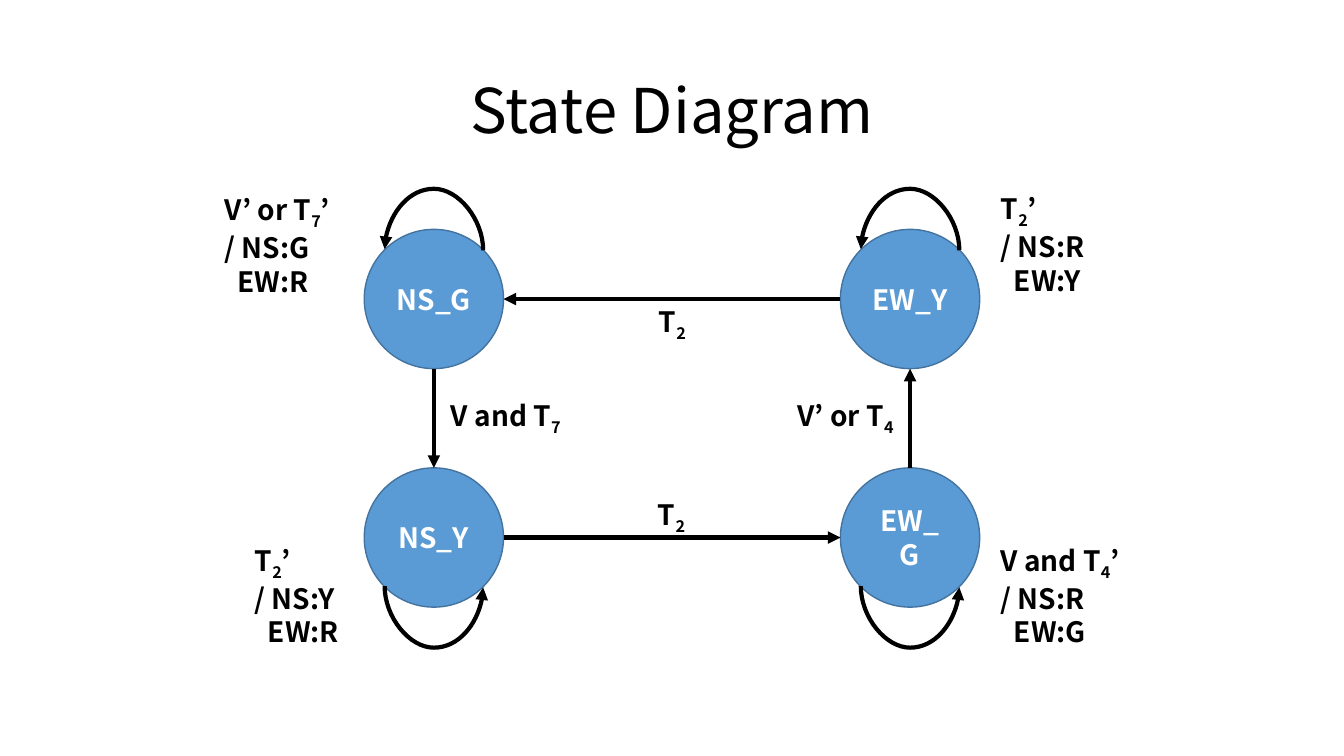
from dataclasses import dataclass
from math import sqrt

from lxml import etree
from pptx import Presentation
from pptx.dml.color import RGBColor
from pptx.enum.shapes import MSO_CONNECTOR, MSO_SHAPE
from pptx.enum.text import MSO_ANCHOR, MSO_AUTO_SIZE, PP_ALIGN
from pptx.oxml.ns import qn
from pptx.shapes.autoshape import Shape
from pptx.shapes.connector import Connector
from pptx.text.text import _Paragraph as Paragraph
from pptx.util import Cm, Pt

FONT = "Noto Sans CJK KR"
BLACK = RGBColor(0x00, 0x00, 0x00)
WHITE = RGBColor(0xFF, 0xFF, 0xFF)
STATE_FILL = RGBColor(0x5B, 0x9B, 0xD5)
STATE_EDGE = RGBColor(0x43, 0x73, 0x9E)

OVAL = MSO_SHAPE.OVAL
STRAIGHT, CURVE = MSO_CONNECTOR.STRAIGHT, MSO_CONNECTOR.CURVE
LEFT, CENTER = PP_ALIGN.LEFT, PP_ALIGN.CENTER
MIDDLE = MSO_ANCHOR.MIDDLE
FIT_SHAPE = MSO_AUTO_SIZE.SHAPE_TO_FIT_TEXT

# State grid
DIAMETER = Cm(3.51)
WEST, EAST = Cm(9.18), Cm(21.18)
NORTH, SOUTH = Cm(5.78), Cm(11.79)

# Self loops: chord between the diagonal points of a state
CHORD = round(DIAMETER / sqrt(2))
LOOP_THICKNESS = Cm(0.03)
LOOP_DEPTH = Cm(1.55)
OUTPUT_INDENT = Cm(0.33)

# Connection sites of an ellipse, counter-clockwise from the top
TOP, TOP_LEFT, LEFT_SIDE, BOTTOM_LEFT = 0, 1, 2, 3
BOTTOM, BOTTOM_RIGHT, RIGHT_SIDE, TOP_RIGHT = 4, 5, 6, 7
SITE_OFFSET = {TOP: (0.5, 0), LEFT_SIDE: (0, 0.5),
               BOTTOM: (0.5, 1), RIGHT_SIDE: (1, 0.5)}


@dataclass(frozen=True)
class State:
    name: str
    left: int
    top: int


@dataclass(frozen=True)
class Condition:
    before: str
    timer: str
    after: str = ""


@dataclass(frozen=True)
class Transition:
    source: str
    source_site: int
    target: str
    target_site: int
    condition: Condition
    left: float
    top: float
    width: float


@dataclass(frozen=True)
class StayLabel:
    condition: Condition
    north_south: str
    east_west: str
    left: float
    top: float
    width: float


STATES = (
    State("NS_G", WEST, NORTH),
    State("NS_Y", WEST, SOUTH),
    State("EW_Y", EAST, NORTH),
    State("EW_G", EAST, SOUTH),
)
TRANSITIONS = (
    Transition("NS_G", BOTTOM, "NS_Y", TOP, Condition("V and T", "7"), 11.02, 9.91, 3.45),
    Transition("NS_Y", RIGHT_SIDE, "EW_G", LEFT_SIDE, Condition("T", "2"), 16.33, 12.42, 1.19),
    Transition("EW_G", TOP, "EW_Y", BOTTOM, Condition("V’ or T", "4"), 19.76, 9.91, 3.1),
    Transition("EW_Y", LEFT_SIDE, "NS_G", RIGHT_SIDE, Condition("T", "2"), 16.35, 7.54, 1.19),
)
STAY_LABELS = (
    StayLabel(Condition("V’ or T", "7", "’"), "NS:G", "EW:R", 5.41, 4.72, 3.3),
    StayLabel(Condition("T", "2", "’"), "NS:R", "EW:Y", 24.97, 4.7, 2.77),
    StayLabel(Condition("V and T", "4", "’"), "NS:R", "EW:G", 24.97, 13.56, 3.78),
    StayLabel(Condition("T", "2", "’"), "NS:Y", "EW:R", 6.17, 13.56, 2.77),
)

deck = Presentation()
deck.slide_width, deck.slide_height = Cm(33.87), Cm(19.05)
slide = deck.slides.add_slide(deck.slide_layouts[6])


def add_run(paragraph: Paragraph, text: str, color: RGBColor = BLACK,
            size: int = 20, bold: bool = True, subscript: bool = False) -> None:
    run = paragraph.add_run()
    run.text = text
    run.font.name, run.font.size, run.font.bold = FONT, Pt(size), bold
    run.font.color.rgb = color
    if subscript:
        run.font._element.set("baseline", "-25000")


def add_condition(paragraph: Paragraph, condition: Condition) -> None:
    add_run(paragraph, condition.before)
    add_run(paragraph, condition.timer, subscript=True)
    if condition.after:
        add_run(paragraph, condition.after)


def add_label(left: float, top: float, width: float, height: float,
              condition: Condition, align: PP_ALIGN) -> Shape:
    label = slide.shapes.add_textbox(Cm(left), Cm(top), Cm(width), Cm(height))
    label.text_frame.word_wrap = False
    label.text_frame.auto_size = FIT_SHAPE
    paragraph = label.text_frame.paragraphs[0]
    paragraph.alignment = align
    add_condition(paragraph, condition)
    return label


def draw_state(state: State) -> Shape:
    circle = slide.shapes.add_shape(OVAL, state.left, state.top, DIAMETER, DIAMETER)
    circle.shadow.inherit = False
    circle.fill.solid()
    circle.fill.fore_color.rgb = STATE_FILL
    circle.line.color.rgb, circle.line.width = STATE_EDGE, Pt(1)
    circle.text_frame.vertical_anchor = MIDDLE
    paragraph = circle.text_frame.paragraphs[0]
    paragraph.alignment = CENTER
    add_run(paragraph, state.name, WHITE)
    return circle


def finish_arrow(arrow: Connector, source: Shape, source_site: int,
                 target: Shape, target_site: int) -> None:
    """Style the arrow and glue its ends to the states."""
    arrow.line.color.rgb, arrow.line.width = BLACK, Pt(3)
    etree.SubElement(arrow.line._get_or_add_ln(), qn("a:tailEnd"), type="triangle")
    etree.SubElement(arrow.element.spPr, qn("a:effectLst"))
    ends = arrow.element.nvCxnSpPr.cNvCxnSpPr
    start, end = ends.get_or_add_stCxn(), ends.get_or_add_endCxn()
    start.id, start.idx = source.shape_id, source_site
    end.id, end.idx = target.shape_id, target_site


def site_point(circle: Shape, site: int) -> tuple[int, int]:
    across, down = SITE_OFFSET[site]
    return circle.left + round(across * DIAMETER), circle.top + round(down * DIAMETER)


def draw_transition(move: Transition, circles: dict[str, Shape]) -> None:
    source, target = circles[move.source], circles[move.target]
    arrow = slide.shapes.add_connector(
        STRAIGHT, *site_point(source, move.source_site), *site_point(target, move.target_site))
    finish_arrow(arrow, source, move.source_site, target, move.target_site)
    add_label(move.left, move.top, move.width, 1.12, move.condition, CENTER)


def draw_self_loop(circle: Shape, above: bool) -> None:
    center_x = circle.left + DIAMETER // 2
    center_y = circle.top + DIAMETER // 2 + (-CHORD if above else CHORD) // 2
    left, top = center_x - LOOP_THICKNESS // 2, center_y - CHORD // 2
    loop = slide.shapes.add_connector(CURVE, left, top, left + LOOP_THICKNESS, top + CHORD)
    frame = loop.element.spPr.find(qn("a:xfrm"))
    frame.set("rot", str(270 * 60000))
    frame.set("flipV" if above else "flipH", "1")
    geometry = loop.element.spPr.find(qn("a:prstGeom"))
    bend = round(LOOP_DEPTH / LOOP_THICKNESS * 100000)
    etree.SubElement(geometry.get_or_add_avLst(), qn("a:gd"), name="adj1", fmla=f"val {bend}")
    sites = (TOP_RIGHT, TOP_LEFT) if above else (BOTTOM_LEFT, BOTTOM_RIGHT)
    finish_arrow(loop, circle, sites[0], circle, sites[1])


def draw_stay_label(stay: StayLabel) -> None:
    label = add_label(stay.left, stay.top, stay.width, 2.82, stay.condition, LEFT)
    add_run(label.text_frame.add_paragraph(), f"/ {stay.north_south}")
    second_output = label.text_frame.add_paragraph()
    second_output._p.get_or_add_pPr().set("marL", str(OUTPUT_INDENT))
    add_run(second_output, stay.east_west)


# Title
title = slide.shapes.add_textbox(Cm(2.33), Cm(1.02), Cm(29.21), Cm(3.68))
title.text_frame.word_wrap = True
title.text_frame.vertical_anchor = MIDDLE
heading = title.text_frame.paragraphs[0]
heading.alignment, heading.line_spacing = CENTER, 0.9
add_run(heading, "State Diagram", size=44, bold=False)

# States with their self loops
state_circles = {state.name: draw_state(state) for state in STATES}
for state in STATES:
    draw_self_loop(state_circles[state.name], above=state.top == NORTH)

# Transitions and labels
for transition in TRANSITIONS:
    draw_transition(transition, state_circles)
for stay_label in STAY_LABELS:
    draw_stay_label(stay_label)

deck.save("out.pptx")
